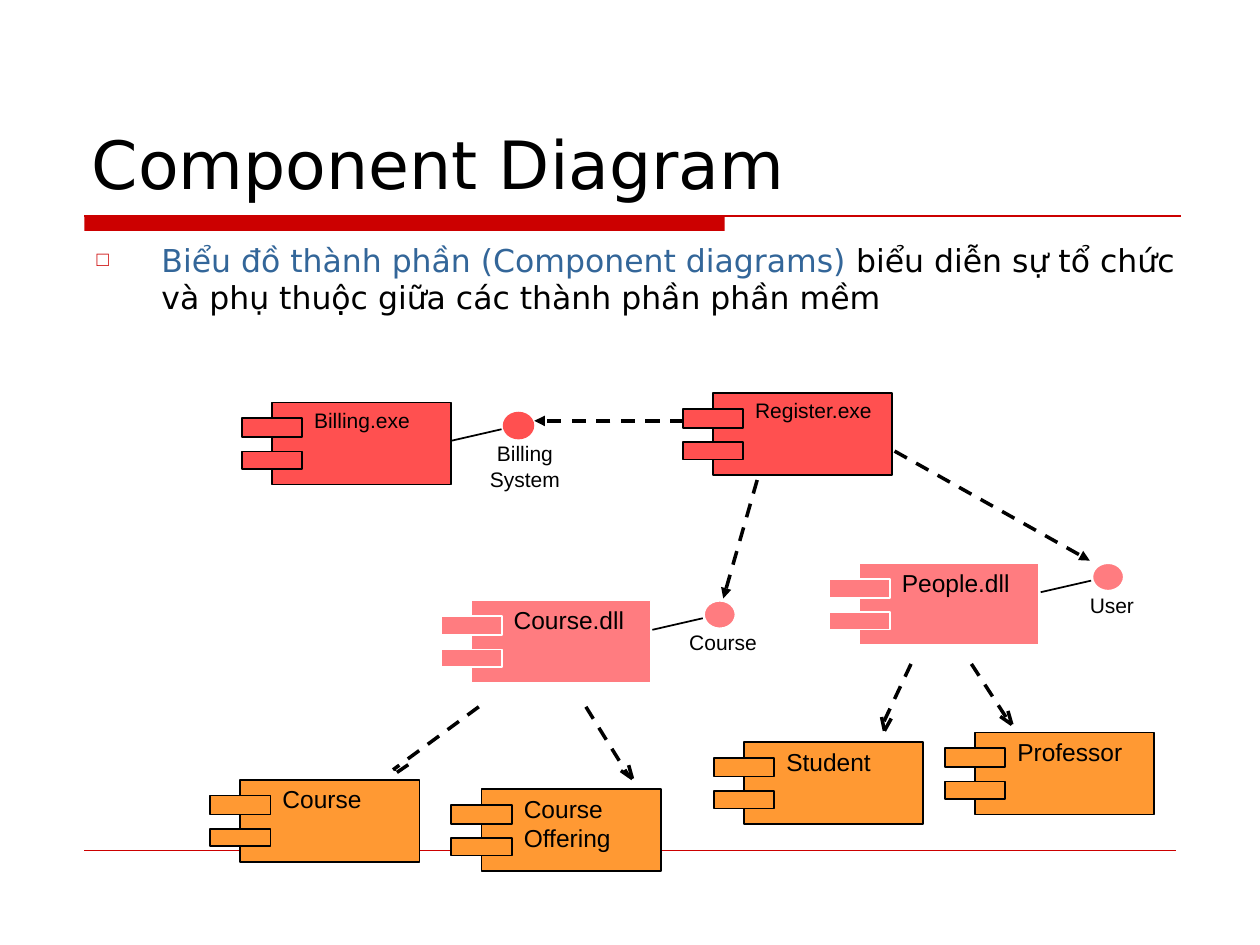
from dataclasses import dataclass
from typing import Optional

from lxml.etree import SubElement
from pptx import Presentation
from pptx.dml.color import RGBColor
from pptx.enum.dml import MSO_LINE_DASH_STYLE as Dash
from pptx.enum.shapes import MSO_CONNECTOR_TYPE as Connector, MSO_SHAPE as Preset
from pptx.enum.text import MSO_ANCHOR as Anchor, PP_ALIGN as Align
from pptx.oxml.ns import qn
from pptx.util import Pt


@dataclass(frozen=True)
class Theme:
    black: str = "000000"
    white: str = "FFFFFF"
    accent: str = "CC0000"
    term: str = "336699"
    executable: str = "FF5050"
    library: str = "FF7C80"
    entity: str = "FF9933"
    heading_font: str = "DejaVu Sans"
    label_font: str = "Arial"
    title_size: float = 38
    body_size: float = 18
    large_label: float = 14
    small_label: float = 12


THEME = Theme()


@dataclass(frozen=True)
class Component:
    lines: tuple[str, ...]
    left: float
    top: float
    fill: str
    outline: str = THEME.black
    size: float = THEME.large_label


@dataclass(frozen=True)
class Interface:
    lines: tuple[str, ...]
    left: float
    top: float
    label_center: float
    fill: str
    outline: Optional[str] = THEME.white


@dataclass(frozen=True)
class Line:
    x1: float
    y1: float
    x2: float
    y2: float
    width: float = 2
    dashed: bool = True
    arrow: bool = False
    color: str = THEME.black


COMPONENTS = [
    Component(("Course",), 137.3, 445.6, THEME.entity),
    Component(("Course", "Offering"), 275.2, 450.9, THEME.entity),
    Component(("Student",), 425.2, 424, THEME.entity),
    Component(("Professor",), 557.2, 418.5, THEME.entity),
    Component(("Course.dll",), 269.4, 343.2, THEME.library, THEME.white),
    Component(("People.dll",), 491.2, 321.8, THEME.library, THEME.white),
    Component(("Register.exe",), 407.4, 224.6, THEME.executable, size=THEME.small_label),
    Component(("Billing.exe",), 155.4, 230, THEME.executable, size=THEME.small_label),
]

INTERFACES = [
    Interface(("Course",), 402.3, 343.3, 413.2, THEME.library),
    Interface(("User",), 624.2, 321.8, 635.4, THEME.library),
    Interface(("Billing", "System"), 287.3, 235.3, 300, THEME.executable, None),
]

DEPENDENCIES = [
    Line(226, 440.6, 226, 439.9, width=1, dashed=False),
    Line(273.6, 403.9, 224.6, 439.9),
    Line(226.8, 441.4, 233.3, 437),
    Line(334.8, 403.9, 359.3, 443.5),
    Line(361.4, 445, 358.6, 434.9),
    Line(361.4, 445, 352.1, 438.5),
    Line(520.6, 379.4, 503.3, 416.2),
    Line(505.4, 417.6, 509.8, 409.7),
    Line(505.4, 417.6, 503.3, 407.5),
    Line(555.1, 379.4, 576.7, 412.6),
    Line(578.2, 414, 575.3, 403.9),
    Line(578.2, 414, 568.8, 407.5),
]

INTERFACE_USES = [
    Line(391, 240.5, 305.3, 240.5, arrow=True),
    Line(432.7, 274.3, 413.3, 342, arrow=True),
    Line(511.2, 257.8, 622.8, 320.4, arrow=True),
]


def rgb(value: str) -> RGBColor:
    return RGBColor.from_string(value)


def draw_shape(slide, preset, left: float, top: float, width: float, height: float,
               fill: str, outline: Optional[str] = None):
    shape = slide.shapes.add_shape(preset, Pt(left), Pt(top), Pt(width), Pt(height))
    shape.shadow.inherit = False
    shape.fill.solid()
    shape.fill.fore_color.rgb = rgb(fill)
    if outline:
        shape.line.color.rgb = rgb(outline)
        shape.line.width = Pt(1)
    else:
        shape.line.fill.background()
    return shape


def draw_line(slide, line: Line) -> None:
    connector = slide.shapes.add_connector(
        Connector.STRAIGHT, Pt(line.x1), Pt(line.y1), Pt(line.x2), Pt(line.y2))
    connector.line.color.rgb = rgb(line.color)
    connector.line.width = Pt(line.width)
    if line.dashed:
        connector.line.dash_style = Dash.DASH
    properties = connector._element.spPr
    if line.arrow:
        SubElement(properties.find(qn("a:ln")), qn("a:tailEnd"), type="triangle")
    SubElement(properties, qn("a:effectLst"))


def add_text_box(slide, left: float, top: float, width: float, height: float,
                 margins: tuple[float, float] = (0, 0), anchor=Anchor.TOP):
    frame = slide.shapes.add_textbox(Pt(left), Pt(top), Pt(width), Pt(height)).text_frame
    across, down = margins
    formats = {
        "margin_left": Pt(across), "margin_right": Pt(across),
        "margin_top": Pt(down), "margin_bottom": Pt(down),
        "vertical_anchor": anchor, "word_wrap": True,
    }
    for name, value in formats.items():
        setattr(frame, name, value)
    return frame


def add_run(paragraph, text: str, font: str, size: float, color: str = THEME.black) -> None:
    run = paragraph.add_run()
    run.text = text
    for name, value in {"name": font, "size": Pt(size)}.items():
        setattr(run.font, name, value)
    run.font.color.rgb = rgb(color)


def write_lines(frame, lines: tuple[str, ...], size: float, align=Align.LEFT) -> None:
    for index, text in enumerate(lines):
        paragraph = frame.add_paragraph() if index else frame.paragraphs[0]
        paragraph.alignment = align
        add_run(paragraph, text, THEME.label_font, size)


def draw_component(slide, component: Component) -> None:
    left, top = component.left, component.top
    colors = component.fill, component.outline
    draw_shape(slide, Preset.RECTANGLE, left, top, 102.4, 46.9, *colors)
    for offset, height in ((9, 10.8), (28, 10)):
        draw_shape(slide, Preset.RECTANGLE, left - 17.3, top + offset, 34.6, height, *colors)
    frame = add_text_box(slide, left + 24.1, top + 2.6, 76, component.size * 1.2 * len(component.lines))
    write_lines(frame, component.lines, component.size)


def draw_interface(slide, interface: Interface) -> None:
    left, top = interface.left, interface.top
    draw_line(slide, Line(left - 29.5, top + 16.6, left - 0.7, top + 10, 1, False))
    height = 3.6 + 14.4 * len(interface.lines)
    frame = add_text_box(slide, interface.label_center - 32, top + 14.8, 64, height,
                         (4.3, 1.4), Anchor.MIDDLE)
    write_lines(frame, interface.lines, THEME.small_label, Align.CENTER)
    draw_shape(slide, Preset.OVAL, left, top, 18, 15.8, interface.fill, interface.outline)


def draw_heading(slide) -> None:
    draw_shape(slide, Preset.RECTANGLE, 48.2, 123.1, 366, 8.9, THEME.accent)
    draw_line(slide, Line(48.2, 123.4, 674.6, 123.4, 1, False, color=THEME.accent))
    draw_line(slide, Line(48.2, 486, 671.8, 486, 0.25, False, color=THEME.accent))
    title = add_text_box(slide, 45.4, 23.8, 630, 95.8, (7.2, 3.6), Anchor.BOTTOM)
    add_run(title.paragraphs[0], "Component Diagram", THEME.heading_font, THEME.title_size)


def draw_definition(slide) -> None:
    frame = add_text_box(slide, 48.2, 133.9, 642.2, 339.8, (7.2, 3.6))
    paragraph = frame.paragraphs[0]
    properties = paragraph._p.get_or_add_pPr()
    for name, value in {"marL": Pt(37), "indent": -Pt(37)}.items():
        properties.set(name, str(value))
    SubElement(SubElement(properties, qn("a:buClr")), qn("a:srgbClr"), val=THEME.accent)
    SubElement(properties, qn("a:buSzPct"), val="65000")
    SubElement(properties, qn("a:buFont"), typeface=THEME.label_font)
    SubElement(properties, qn("a:buChar"), char="□")
    for text, color in (
        ("Biểu đồ thành phần (Component diagrams)", THEME.term),
        (" biểu diễn sự tổ chức và phụ thuộc giữa các thành phần phần mềm", THEME.black),
    ):
        add_run(paragraph, text, THEME.heading_font, THEME.body_size, color)


def main() -> None:
    presentation = Presentation()
    presentation.slide_width, presentation.slide_height = Pt(720), Pt(540)
    slide = presentation.slides.add_slide(presentation.slide_layouts[6])
    draw_heading(slide)
    draw_definition(slide)
    for draw, items in (
        (draw_line, DEPENDENCIES),
        (draw_component, COMPONENTS),
        (draw_interface, INTERFACES),
        (draw_line, INTERFACE_USES),
    ):
        for item in items:
            draw(slide, item)
    presentation.save("out.pptx")


if __name__ == "__main__":
    main()
